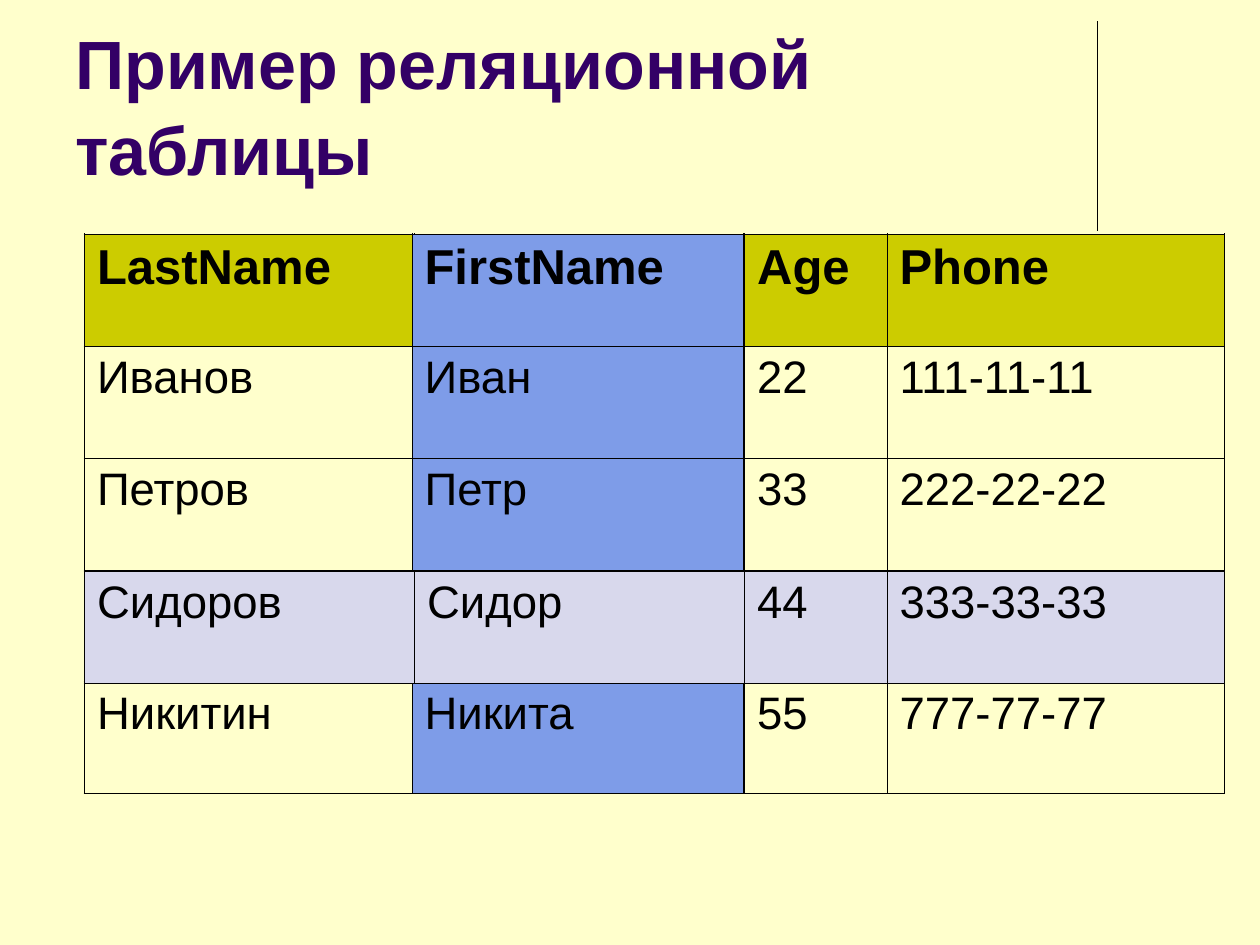
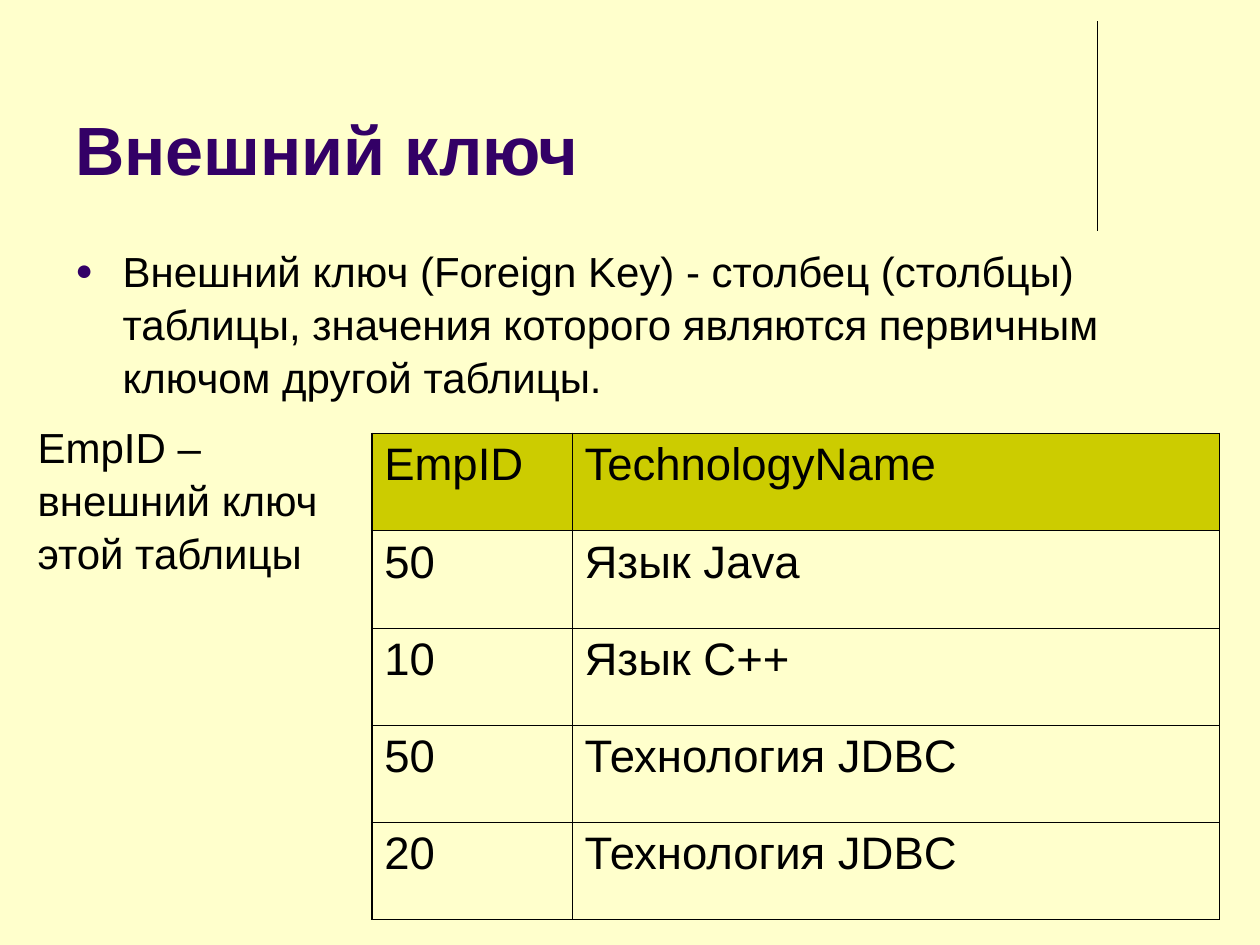
"""Builds two slides about relational tables and foreign keys."""
from lxml import etree
from pptx import Presentation
from pptx.dml.color import RGBColor
from pptx.enum.shapes import MSO_CONNECTOR
from pptx.enum.text import MSO_ANCHOR
from pptx.oxml.ns import qn
from pptx.util import Inches, Pt

STRAIGHT = MSO_CONNECTOR.STRAIGHT
TOP, BOTTOM = MSO_ANCHOR.TOP, MSO_ANCHOR.BOTTOM
COLUMNS, ROWS = 100, 75
FONT = "Arial"
CREAM, INK, PURPLE = "FFFFCC", "000000", "330066"
OLIVE, BLUE, LILAC = "CCCC00", "7E9CE8", "D8D8EC"
THIN, THICK = Pt(0.45), Pt(1.08)
LINE_SPACING = 1.05


def color(code):
    return RGBColor.from_string(code)


class Slides:
    def __init__(self):
        self.deck = Presentation()
        self.deck.slide_width = Inches(10)
        self.deck.slide_height = Inches(7.5)
        self.page = None

    def x(self, columns):
        return round(self.deck.slide_width * columns / COLUMNS)

    def y(self, rows):
        return round(self.deck.slide_height * rows / ROWS)

    def area(self, left, top, width, height):
        return self.x(left), self.y(top), self.x(width), self.y(height)

    def start(self, title):
        self.page = self.deck.slides.add_slide(self.deck.slide_layouts[6])
        fill = self.page.background.fill
        fill.solid()
        fill.fore_color.rgb = color(CREAM)
        self.rule(87.1, 1.7, 18.3)
        self.text(title, (5, 1.3, 82.5, 14.2), 39, PURPLE, True, BOTTOM)

    def rule(self, column, top, bottom):
        line = self.page.shapes.add_connector(
            STRAIGHT, self.x(column), self.y(top), self.x(column), self.y(bottom))
        line.line.color.rgb = color(INK)
        line.line.width = Pt(0.75)
        etree.SubElement(line._element.spPr, qn("a:effectLst"))

    def span(self, para, words, size, ink=INK, bold=False):
        span = para.add_run()
        span.text = words
        span.font.name = FONT
        span.font.size = Pt(size)
        span.font.bold = bold
        span.font.color.rgb = color(ink)

    def text(self, words, area, size=24, ink=INK, bold=False, anchor=TOP, bullet=False):
        box = self.page.shapes.add_textbox(*self.area(*area))
        frame = box.text_frame
        frame.word_wrap = True
        frame.vertical_anchor = anchor
        para = frame.paragraphs[0]
        para.line_spacing = LINE_SPACING
        if bullet:
            self.bullet(para)
        self.span(para, words, size, ink, bold)

    def bullet(self, para):
        props = para._p.get_or_add_pPr()
        props.set("marL", str(self.x(3.75)))
        props.set("indent", str(-self.x(3.75)))
        tint = etree.SubElement(props, qn("a:buClr"))
        etree.SubElement(tint, qn("a:srgbClr"), val=PURPLE)
        etree.SubElement(props, qn("a:buSzPct"), val="70000")
        etree.SubElement(props, qn("a:buFont"), typeface=FONT)
        etree.SubElement(props, qn("a:buChar"), char="●")

    def border(self, cell, side, width):
        props = cell._tc.get_or_add_tcPr()
        line = etree.SubElement(props, qn(f"a:ln{side}"), w=str(width))
        fill = etree.SubElement(line, qn("a:solidFill"))
        etree.SubElement(fill, qn("a:srgbClr"), val=INK)

    def table(self, records, left, top, widths, height, fills,
              header_size=26, header_bold=False, thick="LRTB"):
        last_row, last_column = len(records) - 1, len(widths) - 1
        area = self.area(left, top, sum(widths), height * len(records))
        table = self.page.shapes.add_table(len(records), len(widths), *area).table
        table.first_row = table.horz_banding = False
        for column, width in zip(table.columns, widths):
            column.width = self.x(width)
        for r, record in enumerate(records):
            table.rows[r].height = self.y(height)
            for c, words in enumerate(record):
                cell = table.cell(r, c)
                edges = {"L": c == 0, "R": c == last_column,
                         "T": r == 0, "B": r == last_row}
                for side, outer in edges.items():
                    self.border(cell, side, THICK if outer and side in thick else THIN)
                if fills[r]:
                    cell.fill.solid()
                    cell.fill.fore_color.rgb = color(fills[r])
                else:
                    cell.fill.background()
                size, bold = (header_size, header_bold) if r == 0 else (26, False)
                self.span(cell.text_frame.paragraphs[0], words, size, bold=bold)


def relational_table(slides):
    people = [
        ("LastName", "FirstName", "Age", "Phone"),
        ("Иванов", "Иван", "22", "111-11-11"),
        ("Петров", "Петр", "33", "222-22-22"),
        ("Сидоров", "Сидор", "44", "333-33-33"),
        ("Никитин", "Никита", "55", "777-77-77"),
    ]
    left, top, height = 6.7, 18.6, 8.88
    widths = (26.2, 26.2, 11.3, 26.8)
    marked = 3
    slides.start("Пример реляционной таблицы")
    slides.table(people, left, top, widths, height, [OLIVE] + [None] * 4, 28, True)
    slides.table([person[1:2] for person in people], 32.7, top, (26.3,), height,
                 [BLUE] * 5, 28, True, thick="TB")
    slides.table([people[marked]], left, top + marked * height + 0.1, widths, height,
                 [LILAC], thick="LR")


def foreign_key(slides):
    skills = [
        ("EmpID", "TechnologyName"),
        ("50", "Язык Java"),
        ("10", "Язык C++"),
        ("50", "Технология JDBC"),
        ("20", "Технология JDBC"),
    ]
    slides.start("Внешний ключ")
    slides.text("Внешний ключ (Foreign Key) - столбец (столбцы) таблицы, значения "
                "которого являются первичным ключом другой таблицы.",
                (5, 18.8, 90, 14), bullet=True)
    slides.table(skills, 29.5, 34.4, (15.9, 51.4), 7.72, [OLIVE] + [None] * 4)
    slides.text("EmpID – внешний ключ этой таблицы", (2, 32.8, 26, 13))


def main():
    slides = Slides()
    relational_table(slides)
    foreign_key(slides)
    slides.deck.save("out.pptx")


if __name__ == "__main__":
    main()
